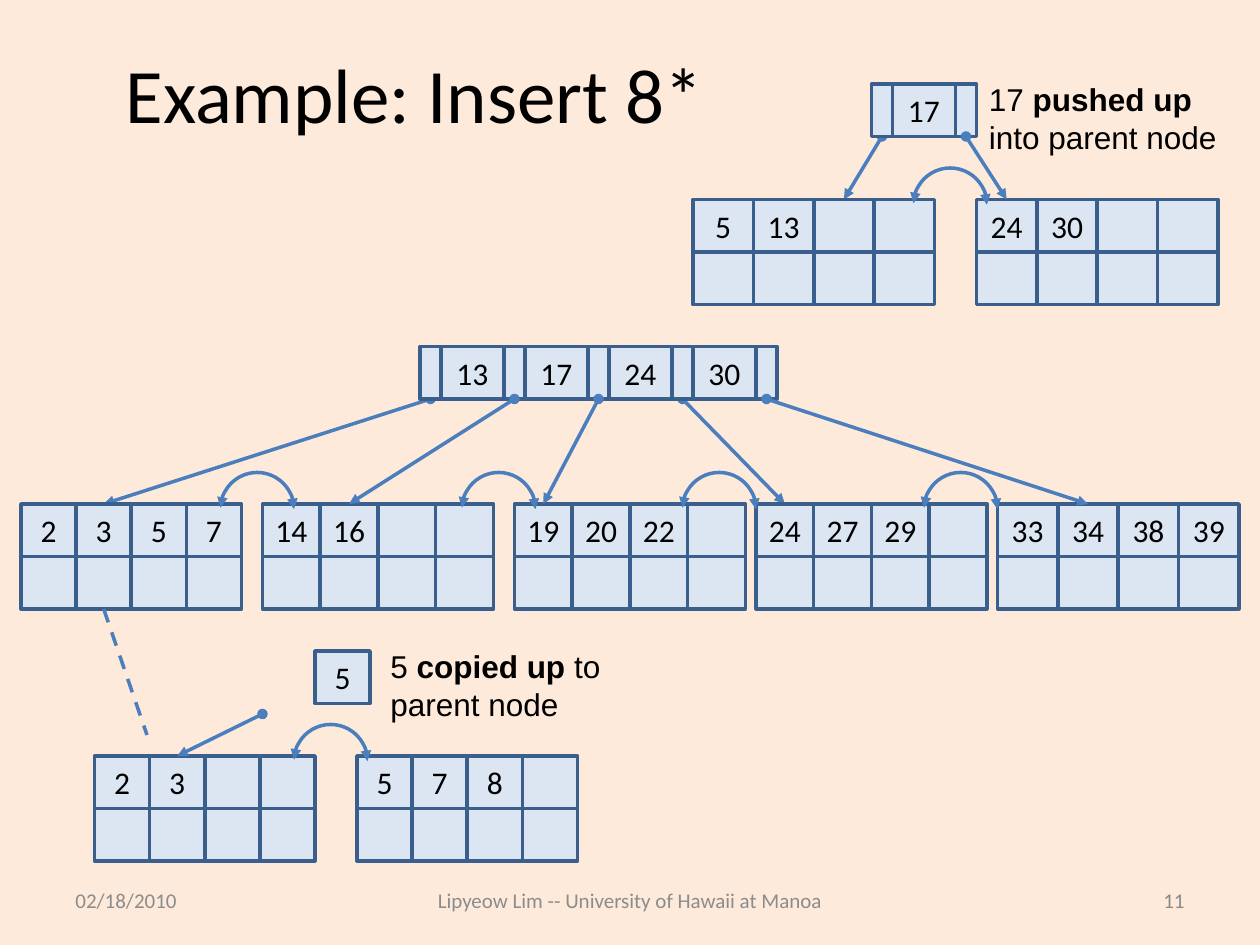
import lxml.etree
import pptx
import pptx.dml.color
import pptx.enum.dml
import pptx.enum.shapes
import pptx.enum.text
import pptx.oxml.ns
import pptx.util

PX = 9525
ROW = 40
POINTER, KEY = 16, 48
EDGE, CELL_FILL, LINK = "3A5F8C", "DCE6F2", "4B7EBC"
rgb = pptx.dml.color.RGBColor.from_string
qn = pptx.oxml.ns.qn
ALIGN = pptx.enum.text.PP_ALIGN
MIDDLE = pptx.enum.text.MSO_ANCHOR.MIDDLE
SHAPE = pptx.enum.shapes.MSO_SHAPE


def style_link(link, head, tail):
    link.line.color.rgb = rgb(LINK)
    link.line.width = pptx.util.Pt(2)
    properties = link.element.spPr
    outline = properties.find(qn("a:ln"))
    for tag, ending in (("a:headEnd", head), ("a:tailEnd", tail)):
        if ending:
            lxml.etree.SubElement(outline, qn(tag), type=ending)
    lxml.etree.SubElement(properties, qn("a:effectLst"))


def add_link(x1, y1, x2, y2, head="oval", tail="triangle"):
    link = slide.shapes.add_connector(
        pptx.enum.shapes.MSO_CONNECTOR.STRAIGHT, x1 * PX, y1 * PX, x2 * PX, y2 * PX)
    style_link(link, head, tail)
    return link


deck = pptx.Presentation()
deck.slide_width, deck.slide_height = 960 * PX, 720 * PX
slide = deck.slides.add_slide(deck.slide_layouts[5])
slide.background.fill.solid()
slide.background.fill.fore_color.rgb = rgb("FDEADA")

title = slide.shapes.title
title.left, title.top, title.width, title.height = 48 * PX, 29 * PX, 536 * PX, 83 * PX
title.text_frame.text = "Example: Insert 8*"
title.text_frame.vertical_anchor = MIDDLE
heading = title.text_frame.paragraphs[0]
heading.alignment = ALIGN.CENTER
heading.font.size = pptx.util.Pt(44)
heading.font.name = "Calibri"
heading.font.color.rgb = rgb("000000")

for left, width, words, alignment, colour in (
    (48, 224, "02/18/2010", ALIGN.LEFT, "8C8C8C"),
    (288, 384, "Lipyeow Lim -- University of Hawaii at Manoa", ALIGN.CENTER, "8C8C8C"),
    (688, 224, "11", ALIGN.RIGHT, "898989"),
):
    footer = slide.shapes.add_textbox(left * PX, 667 * PX, width * PX, 38 * PX).text_frame
    footer.word_wrap = True
    footer.vertical_anchor = MIDDLE
    footer.text = words
    line = footer.paragraphs[0]
    line.alignment = alignment
    line.font.size = pptx.util.Pt(12)
    line.font.name = "Calibri"
    line.font.color.rgb = rgb(colour)

add_link(328, 304, 79, 384)
add_link(520, 304, 598, 384)
add_link(672, 104, 643, 152)

index_keys = ["", "13", "", "17", "", "24", "", "30", ""]
nodes = [
    (320, 264, [POINTER, KEY] * 4 + [POINTER], [index_keys]),
    (664, 64, [POINTER, KEY, POINTER], [["", "17", ""]]),
    (240, 496, [42], [["5"]]),
]
for left, top, width, keys in (
    (72, 576, 42, ["2", "3", "", ""]),
    (272, 576, 42, ["5", "7", "8", ""]),
    (16, 384, 42, ["2", "3", "5", "7"]),
    (200, 384, 44, ["14", "16", "", ""]),
    (392, 384, 44, ["19", "20", "22", ""]),
    (576, 384, 44, ["24", "27", "29", ""]),
    (760, 384, 46, ["33", "34", "38", "39"]),
    (528, 152, 46, ["5", "13", "", ""]),
    (744, 152, 46, ["24", "30", "", ""]),
):
    nodes.append((left, top, [width] * 4, [keys, [""] * 4]))

for left, top, widths, rows in nodes:
    node = slide.shapes.add_group_shape()
    for row, keys in enumerate(rows):
        for column, key in enumerate(keys):
            cell = node.shapes.add_shape(
                SHAPE.RECTANGLE, (left + sum(widths[:column])) * PX,
                (top + row * ROW) * PX, widths[column] * PX, ROW * PX)
            cell.shadow.inherit = False
            cell.fill.solid()
            cell.fill.fore_color.rgb = rgb(CELL_FILL)
            cell.line.color.rgb = rgb(EDGE)
            cell.line.width = pptx.util.Pt(2)
            if key:
                label = cell.text_frame
                label.margin_left = label.margin_right = 0
                label.vertical_anchor = MIDDLE
                label.text = key
                line = label.paragraphs[0]
                line.alignment = ALIGN.CENTER
                line.font.size = pptx.util.Pt(18)
                line.font.name = "Calibri"
                line.font.color.rgb = rgb("000000")

for ends in (
    (392, 304, 266, 384),
    (456, 304, 414, 384),
    (584, 304, 829, 384),
    (200, 544, 135, 576),
    (736, 104, 767, 152),
):
    add_link(*ends)

split = add_link(79, 464, 112, 560, None, None)
split.line.dash_style = pptx.enum.dml.MSO_LINE.DASH

for left, top in ((168, 360), (352, 360), (520, 360), (704, 360), (224, 552), (696, 128)):
    sibling = slide.shapes.add_shape(SHAPE.ARC, left * PX, top * PX, 56 * PX, 56 * PX)
    sibling.adjustments[0] = 109.374
    sibling.adjustments[1] = 0
    sibling.fill.background()
    style_link(sibling, "triangle", "triangle")

for left, top, width, lines in (
    (288, 488, 188, [[("5 ", False), ("copied up ", True), ("to", False)],
                     [("parent node", False)]]),
    (744, 56, 195, [[("17 ", False), ("pushed up", True)],
                    [("into parent node", False)]]),
):
    remark = slide.shapes.add_textbox(left * PX, top * PX, width * PX, 68 * PX).text_frame
    remark.word_wrap = False
    remark.auto_size = pptx.enum.text.MSO_AUTO_SIZE.SHAPE_TO_FIT_TEXT
    for number, pieces in enumerate(lines):
        line = remark.add_paragraph() if number else remark.paragraphs[0]
        for words, bold in pieces:
            run = line.add_run()
            run.text = words
            run.font.bold = bold
            run.font.size = pptx.util.Pt(18)
            run.font.name = "Arial"
            run.font.color.rgb = rgb("000000")

deck.save("out.pptx")
